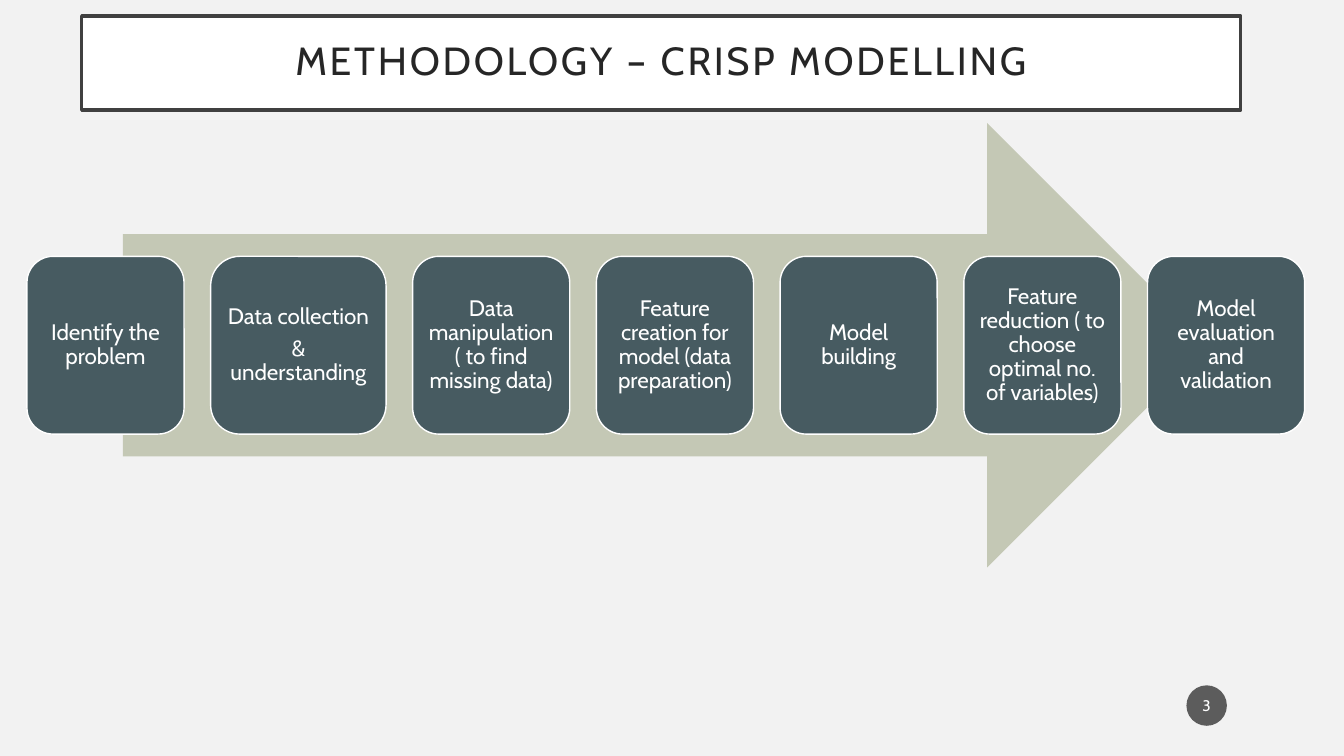
from pptx import Presentation
from pptx.dml.color import RGBColor
from pptx.enum.shapes import MSO_SHAPE
from pptx.enum.text import MSO_ANCHOR, PP_ALIGN
from pptx.oxml.ns import qn
from pptx.util import Cm, Pt
from lxml.etree import SubElement

STEPS = [
    ["Identify the problem"],
    ["Data collection", "& understanding"],
    ["Data manipulation ( to find missing data)"],
    ["Feature creation for model (data preparation)"],
    ["Model building"],
    ["Feature reduction ( to choose optimal no. of variables)"],
    ["Model evaluation and validation"],
]
WIDE = 1  # index of the broader step card
TITLE = {"size": Pt(28), "color": "262626"}
STEP = {"size": Pt(16), "color": "FFFFFF"}
PAGE = {"size": Pt(11), "color": "FFFFFF"}
TIGHT = {"line_spacing": 0.9}
SPACED = {"line_spacing": 0.9, "space_after": Pt(5.6)}


def tint(target, code):
    target.rgb = RGBColor.from_string(code)


def shape(slide, kind, box, fill, line=None, width=1):
    part = slide.shapes.add_shape(kind, *[Cm(v) for v in box])
    part.shadow.inherit = False
    part.fill.solid()
    tint(part.fill.fore_color, fill)
    if line:
        tint(part.line.color, line)
        part.line.width = Pt(width)
    else:
        part.line.fill.background()
    return part


def write(part, lines, look, inset, flow):
    frame = part.text_frame
    side, edge = [Cm(v) for v in inset]
    form = {"word_wrap": True, "vertical_anchor": MSO_ANCHOR.MIDDLE,
            "margin_left": side, "margin_right": side,
            "margin_top": edge, "margin_bottom": edge}
    for key, value in form.items():
        setattr(frame, key, value)
    frame.text = "\n".join(lines)
    for para in frame.paragraphs:
        for key, value in {"alignment": PP_ALIGN.CENTER, **flow}.items():
            setattr(para, key, value)
        font = para.runs[0].font
        font.name, font.size = "Cabin", look["size"]
        tint(font.color, look["color"])


# Title banner
def banner(slide, box, text):
    part = shape(slide, MSO_SHAPE.RECTANGLE, box, "FFFFFF", "404040", 2.5)
    write(part, [text], TITLE, (0.51, 0.51), TIGHT)
    run = part.text_frame.paragraphs[0].runs[0]
    run._r.get_or_add_rPr().set("spc", "200")


# Arrow with the row of step cards across it
def flow(slide, box, steps):
    left, top, width, height = box
    shape(slide, MSO_SHAPE.RIGHT_ARROW,
          (left + 2.42, top, 27.38, height), "C4C8B5")
    gap, extra, tall = 0.67, 0.46, 0.4 * height
    card = (width - extra - gap * (len(steps) - 1)) / len(steps)
    for i, lines in enumerate(steps):
        wide = card + extra * (i == WIDE)
        part = shape(slide, MSO_SHAPE.ROUNDED_RECTANGLE,
                     (left, top + (height - tall) / 2, wide, tall),
                     "475B61", "FFFFFF")
        write(part, lines, STEP, (0.17, 0.17), SPACED)
        left += wide + gap


# Page number badge
def badge(slide, box, text):
    part = shape(slide, MSO_SHAPE.OVAL, box, "1D1D1D")
    color = part.fill._xPr.find(".//" + qn("a:srgbClr"))
    SubElement(color, qn("a:alpha")).set("val", "70000")
    write(part, [text], PAGE, (0.05, 0.13), {})


def main():
    deck = Presentation()
    deck.slide_width, deck.slide_height = Cm(33.87), Cm(19.05)
    slide = deck.slides.add_slide(deck.slide_layouts[6])
    slide.background.fill.solid()
    tint(slide.background.fill.fore_color, "F2F2F2")
    banner(slide, (2.06, 0.41, 29.21, 2.36), "METHODOLOGY – CRISP MODELLING")
    badge(slide, (29.9, 17.27, 1.02, 1.02), "3")
    flow(slide, (0.68, 3.1, 32.2, 11.2), STEPS)
    deck.save("out.pptx")


if __name__ == "__main__":
    main()
